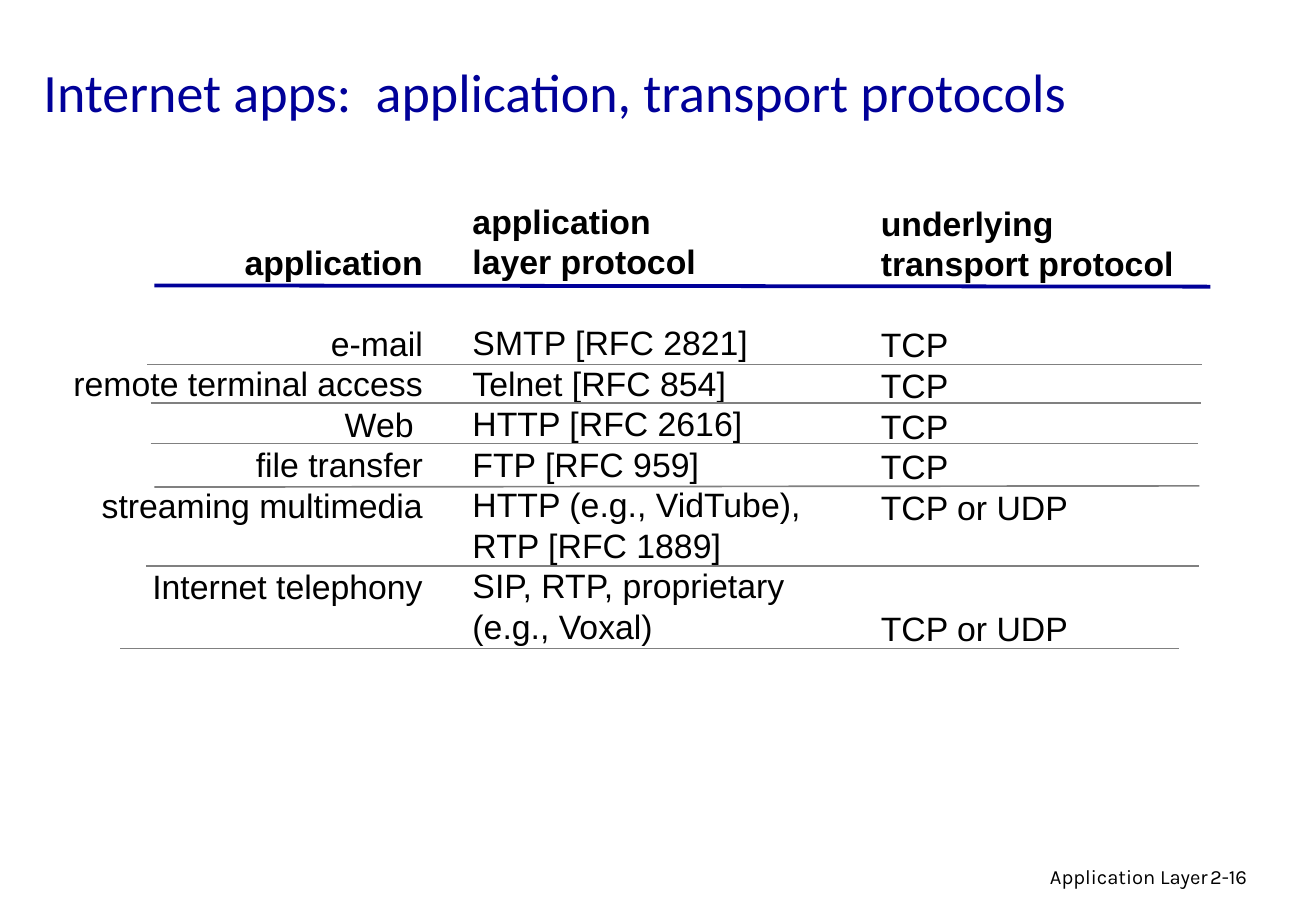
"""Build the slide on Internet applications and their protocols."""
from dataclasses import dataclass

from lxml import etree
from pptx import Presentation
from pptx.dml.color import RGBColor
from pptx.enum.shapes import MSO_CONNECTOR
from pptx.enum.text import MSO_ANCHOR, PP_ALIGN
from pptx.oxml.ns import qn
from pptx.util import Inches, Pt

LEFT, RIGHT = PP_ALIGN.LEFT, PP_ALIGN.RIGHT
TOP, MIDDLE = MSO_ANCHOR.TOP, MSO_ANCHOR.MIDDLE
STRAIGHT = MSO_CONNECTOR.STRAIGHT


@dataclass(frozen=True)
class Theme:
    """Colours, fonts and sizes of the slide."""
    accent: RGBColor = RGBColor(0x00, 0x00, 0x99)
    ink: RGBColor = RGBColor(0x00, 0x00, 0x00)
    rule: RGBColor = RGBColor(0x80, 0x80, 0x80)
    title_font: str = "Calibri"
    body_font: str = "Arial"
    footer_font: str = "Karla"
    title_size: float = 32
    body_size: float = 20
    footer_size: float = 12
    line_pitch: float = 24
    header_rule: float = 2.25
    row_rule: float = 1


@dataclass(frozen=True)
class Box:
    """A region of the slide in inches."""
    left: float
    top: float
    width: float
    height: float

    def inner(self, left, top, width, height):
        """Return a box placed relative to this one."""
        return Box(self.left + left, self.top + top, width, height)


@dataclass(frozen=True)
class Column:
    """Place, heading and entries of one column; entries carry blank lines above."""
    place: tuple
    heading: tuple
    entries: tuple
    align: PP_ALIGN = LEFT


THEME = Theme()
COLUMNS = (
    Column((0, 0.34, 3.1, 3.53), ("application",),
           (("e-mail", 1), ("remote terminal access", 0), ("Web ", 0),
            ("file transfer", 0), ("streaming multimedia", 0),
            ("Internet telephony", 1)), RIGHT),
    Column((3.31, 0, 3.07, 3.8), ("application", "layer protocol"),
           (("SMTP [RFC 2821]", 1), ("Telnet [RFC 854]", 0),
            ("HTTP [RFC 2616]", 0), ("FTP [RFC 959]", 0),
            ("HTTP (e.g., VidTube), \vRTP [RFC 1889]", 0),
            ("SIP, RTP, proprietary", 0), ("(e.g., Voxal)", 0))),
    Column((6.67, 0.02, 3.11, 3.77), ("underlying", "transport protocol"),
           (("TCP", 1), ("TCP", 0), ("TCP", 0), ("TCP", 0),
            ("TCP or UDP", 0), ("TCP or UDP", 2))),
)
HEADER_RULE = (0.79, 0.75, 9.48, 0.76)
ROW_RULES = (
    (0.73, 1.4, 9.41, 1.4),
    (0.76, 1.72, 9.4, 1.72),
    (0.76, 2.05, 9.38, 2.05),
    (0.79, 2.41, 9.39, 2.4),
    (0.72, 3.06, 9.39, 3.06),
    (0.51, 3.74, 9.22, 3.74),
)


def format_text(para, text, *, font, size, color, bold=False, align=LEFT,
                pitch=None, before=0):
    """Fill a paragraph with text in the given format."""
    para.text = text
    para.alignment = align
    if pitch:
        para.line_spacing = Pt(pitch)
    if before:
        para.space_before = Pt(before)
    for span in para.runs:
        span.font.name = font
        span.font.size = Pt(size)
        span.font.bold = bold
        span.font.color.rgb = color


def add_frame(page, box, anchor=TOP):
    """Add a wrapping text box and return its text frame."""
    shape = page.shapes.add_textbox(Inches(box.left), Inches(box.top),
                                    Inches(box.width), Inches(box.height))
    frame = shape.text_frame
    frame.word_wrap = True
    frame.vertical_anchor = anchor
    return frame


def add_rule(page, box, ends, color, width):
    """Draw a straight line between two points relative to the box."""
    start_x, start_y, end_x, end_y = ends
    line = page.shapes.add_connector(
        STRAIGHT, Inches(box.left + start_x), Inches(box.top + start_y),
        Inches(box.left + end_x), Inches(box.top + end_y))
    line.line.color.rgb = color
    line.line.width = Pt(width)
    etree.SubElement(line._element.spPr, qn("a:effectLst"))


def add_title(page, box):
    """Write the slide title."""
    frame = add_frame(page, box, MIDDLE)
    format_text(frame.paragraphs[0],
                "Internet apps:  application, transport protocols",
                font=THEME.title_font, size=THEME.title_size, color=THEME.accent)


def add_column(page, box, column):
    """Write one column with its bold heading and its entries."""
    frame = add_frame(page, box)
    lines = [(text, 0, True) for text in column.heading]
    lines += [(text, blanks, False) for text, blanks in column.entries]
    for index, (text, blanks, bold) in enumerate(lines):
        para = frame.add_paragraph() if index else frame.paragraphs[0]
        format_text(para, text, font=THEME.body_font, size=THEME.body_size,
                    color=THEME.ink, bold=bold, align=column.align,
                    pitch=THEME.line_pitch, before=blanks * THEME.line_pitch)


def add_protocols(page, box):
    """Place the three columns and the rules between their rows."""
    for column in COLUMNS:
        add_column(page, box.inner(*column.place), column)
    add_rule(page, box, HEADER_RULE, THEME.accent, THEME.header_rule)
    for ends in ROW_RULES:
        add_rule(page, box, ends, THEME.rule, THEME.row_rule)


def add_footer(page, box):
    """Write the chapter name and the page number."""
    labels = (("Application Layer", box.inner(0, 0, 3.43, 0.31), RIGHT),
              ("2-16", box.inner(3.25, 0, 0.8, 0.3), LEFT))
    for text, place, align in labels:
        frame = add_frame(page, place)
        format_text(frame.paragraphs[0], text, font=THEME.footer_font,
                    size=THEME.footer_size, color=THEME.ink, align=align)


def main():
    """Build and save the deck."""
    deck = Presentation()
    deck.slide_width, deck.slide_height = Inches(10.83), Inches(7.5)
    page = deck.slides.add_slide(deck.slide_layouts[6])
    add_title(page, Box(0.26, 0.29, 10.36, 0.92))
    add_protocols(page, Box(0.48, 1.6, 9.78, 3.87))
    add_footer(page, Box(6.61, 7.07, 4.05, 0.31))
    deck.save("out.pptx")


if __name__ == "__main__":
    main()
